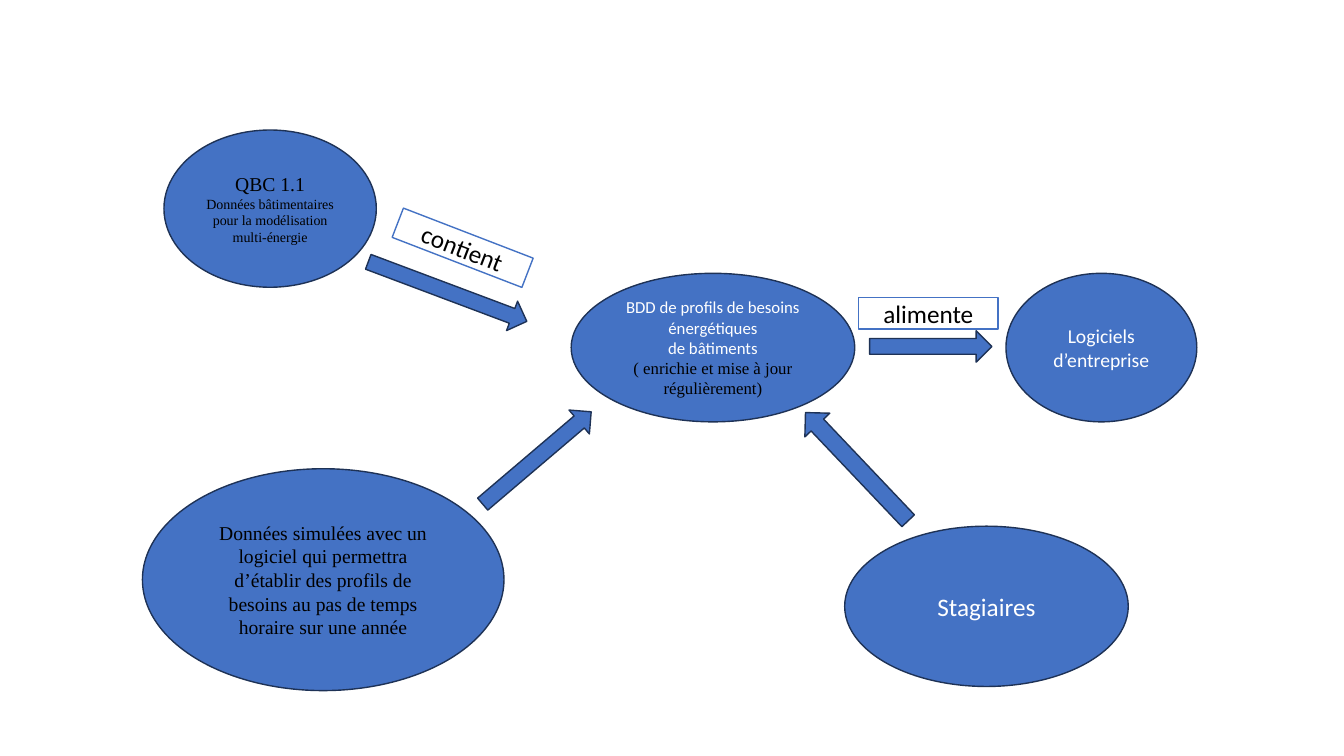
from pptx import Presentation
from pptx.dml.color import RGBColor
from pptx.enum.shapes import MSO_SHAPE
from pptx.enum.text import MSO_ANCHOR, PP_ALIGN
from pptx.util import Inches, Pt

BLUE, NAVY, WHITE, BLACK = "4472C4", "1E3256", "FFFFFF", "000000"
SANS, SERIF = "Calibri", "Times New Roman"

deck = Presentation()
deck.slide_width, deck.slide_height = Inches(13.33), Inches(7.5)
slide = deck.slides.add_slide(deck.slide_layouts[6])
col, row = deck.slide_width / 100, deck.slide_height / 100


def paint(target, color):
    target.rgb = RGBColor.from_string(color)


def draw(kind, box, fill, edge, lines=(), turn=0):
    x, y, wide, high = box
    shape = slide.shapes.add_shape(
        kind, int(x * col), int(y * row), int(wide * col), int(high * row))
    shape.rotation = turn
    shape.shadow.inherit = False
    shape.fill.solid()
    paint(shape.fill.fore_color, fill)
    paint(shape.line.color, edge)
    shape.line.width = Pt(1)
    frame = shape.text_frame
    looks = {"word_wrap": True, "vertical_anchor": MSO_ANCHOR.MIDDLE}
    for key, value in looks.items():
        setattr(frame, key, value)
    for i, (text, size, face, color) in enumerate(lines):
        para = frame.add_paragraph() if i else frame.paragraphs[0]
        para.alignment = PP_ALIGN.CENTER
        run = para.add_run()
        run.text = text
        for key, value in {"size": Pt(size), "name": face}.items():
            setattr(run.font, key, value)
        paint(run.font.color, color)


bubbles = [
    ((74.85, 36.15, 14.2, 19.65), [("Logiciels d’entreprise", 14, SANS, WHITE)]),
    ((42.5, 36.15, 21.1, 19.65), [
        ("BDD de profils de besoins énergétiques", 12, SANS, WHITE),
        ("de bâtiments", 12, SANS, WHITE),
        ("( enrichie et mise à jour régulièrement)", 12, SERIF, BLACK)]),
    ((12.2, 17.2, 15.8, 20.8), [
        ("QBC 1.1", 14, SERIF, BLACK),
        ("Données bâtimentaires pour la modélisation multi-énergie", 10, SERIF, BLACK)]),
    ((10.6, 62, 26.9, 29.35), [
        ("Données simulées avec un logiciel qui permettra d’établir des profils "
         "de besoins au pas de temps horaire sur une année", 14, SERIF, BLACK)]),
    ((62.85, 69.6, 21.1, 21.2), [("Stagiaires", 18, SANS, WHITE)]),
]
for box, lines in bubbles:
    draw(MSO_SHAPE.OVAL, box, BLUE, NAVY, lines)

arrows = [
    ((34.65, 58.5, 10.6, 4.15), 319.6),
    ((64.7, 43.75, 9.1, 4.15), 0),
    ((27, 36.5, 12.6, 4.15), 20.6),
    ((58.2, 59.45, 11.1, 4.55), 226.5),
]
for box, turn in arrows:
    draw(MSO_SHAPE.RIGHT_ARROW, box, BLUE, NAVY, turn=turn)

labels = [("alimente", 63.9, 39.35, 0), ("contient", 29.25, 30.7, 21.1)]
for text, x, y, turn in labels:
    draw(MSO_SHAPE.RECTANGLE, (x, y, 10.35, 4.15), WHITE, BLUE,
         [(text, 18, SANS, BLACK)], turn)

deck.save("out.pptx")
